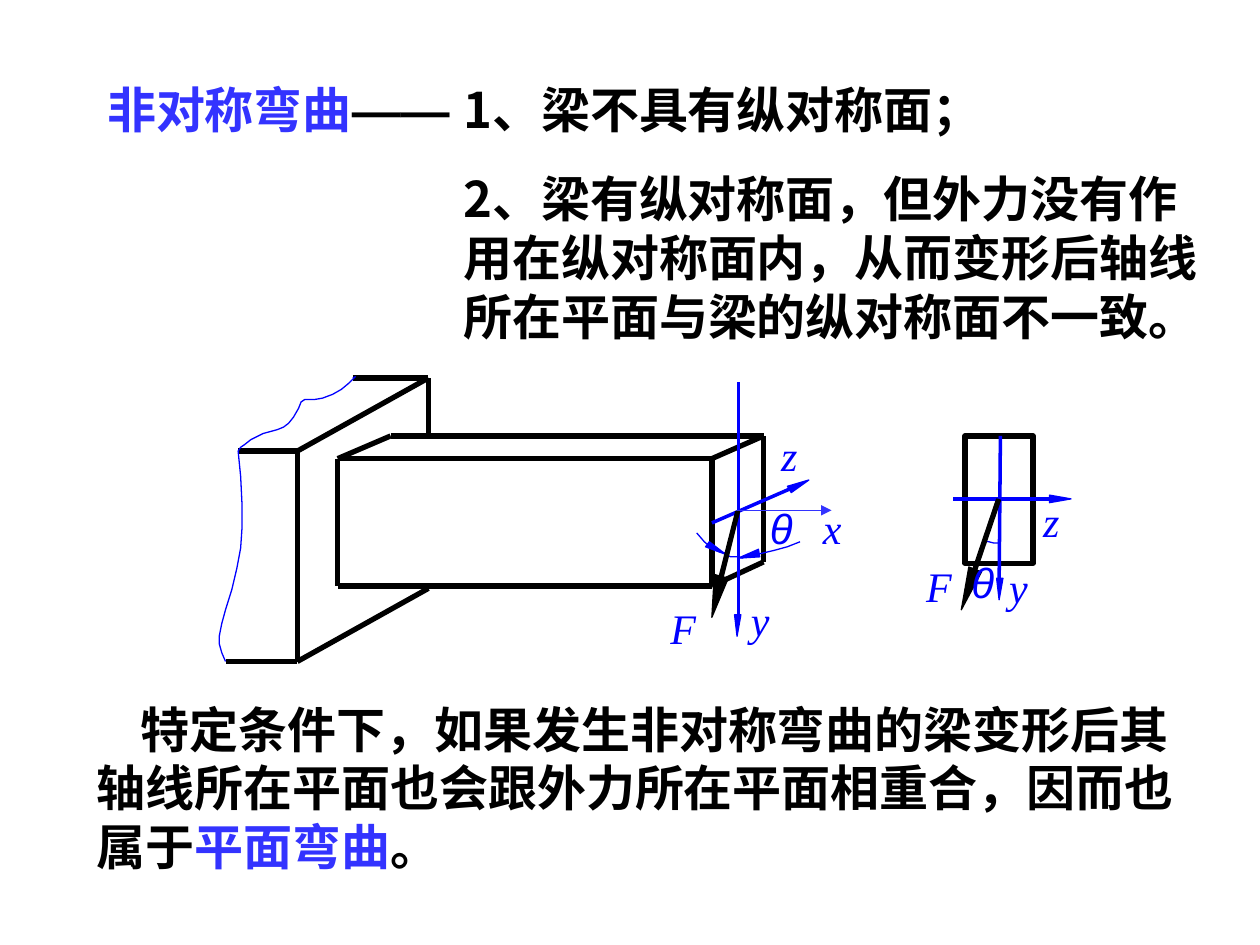
import pptx
import pptx.dml.color
import pptx.enum.shapes
import pptx.enum.text
import pptx.oxml.ns
import pptx.util
from lxml import etree

Inches, Pt = pptx.util.Inches, pptx.util.Pt
RGBColor = pptx.dml.color.RGBColor
BLACK = RGBColor(0x00, 0x00, 0x00)
BLUE = RGBColor(0x00, 0x00, 0xFF)
TERM = RGBColor(0x33, 0x33, 0xFF)
CJK, LATIN, SANS = "Noto Sans CJK SC", "Times New Roman", "Arial"
HAIRLINE, EDGE = 0, 3

# Bold outlines of the wall and the beam, as runs of joined corners
WALL_EDGES = [
    [(2.8, 3), (3.4, 3), (2.36, 3.58), (2.36, 5.25), (3.4, 4.67)],
    [(3.4, 3), (3.4, 3.46)],
    [(1.89, 3.58), (2.36, 3.58)],
    [(1.79, 5.25), (2.36, 5.25)],
]
BEAM_EDGES = [
    [(2.68, 3.64), (5.65, 3.64), (5.65, 4.65), (2.68, 4.65), (2.68, 3.64),
     (3.1, 3.46), (6.06, 3.46), (6.06, 4.46), (5.65, 4.65)],
    [(5.65, 3.64), (6.06, 3.46)],
]
# Thin blue curves: broken wall edges, then angle arcs
BLUE_CURVES = [
    [(2.8, 3), (2.82, 2.99), (2.77, 3.04), (2.71, 3.09), (2.64, 3.13),
     (2.56, 3.16), (2.5, 3.17), (2.42, 3.17), (2.39, 3.19), (2.37, 3.24),
     (2.33, 3.31), (2.29, 3.36), (2.25, 3.39), (2.2, 3.41), (2.09, 3.44),
     (1.99, 3.49), (1.94, 3.53), (1.91, 3.55), (1.89, 3.58)],
    [(1.89, 3.58), (1.91, 3.78), (1.92, 3.99), (1.92, 4.2), (1.91, 4.35),
     (1.88, 4.51), (1.84, 4.68), (1.79, 4.84), (1.76, 4.95), (1.74, 5.05),
     (1.74, 5.11), (1.76, 5.18), (1.79, 5.25)],
    [(5.53, 4.23), (5.59, 4.3), (5.66, 4.36), (5.71, 4.38), (5.76, 4.39)],
    [(6.01, 4.4), (6.14, 4.37), (6.25, 4.34), (6.35, 4.3)],
    [(5.76, 4.4), (5.8, 4.42), (5.85, 4.42), (5.9, 4.43)],
    [(7.8, 4.29), (7.85, 4.3), (7.89, 4.31), (7.94, 4.31)],
]
BLUE_AXES = [
    [(5.86, 4.88), (5.86, 3.03)],
    [(6.27, 3.88), (5.65, 4.15)],
    [(8.33, 3.96), (7.56, 3.96)],
    [(7.93, 4.59), (7.94, 3.46)],
]
BLUE_ARROWHEADS = [
    [(5.88, 4.88), (5.85, 5.05), (5.83, 4.88)],
    [(6.25, 3.86), (6.42, 3.81), (6.28, 3.91)],
    [(8.33, 3.93), (8.5, 3.96), (8.33, 3.99)],
    [(7.96, 4.59), (7.93, 4.76), (7.91, 4.59)],
    [(5.63, 4.3), (5.6, 4.34), (5.76, 4.4)],
    [(6.03, 4.42), (6.02, 4.36), (5.86, 4.43)],
]
# Each force is an arrowhead and a shaft
FORCES = [
    [(5.78, 4.59), (5.65, 4.9), (5.67, 4.56)],
    [(5.71, 4.57), (5.72, 4.59), (5.74, 4.58), (5.87, 4.06), (5.84, 4.06)],
    [(7.79, 4.54), (7.63, 4.84), (7.69, 4.5)],
    [(7.72, 4.52), (7.73, 4.54), (7.75, 4.53), (7.94, 3.97), (7.91, 3.96)],
]
LABELS = [
    ("y", 5.96, 4.72, 0.15, LATIN), ("z", 6.2, 3.41, 0.13, LATIN),
    ("F", 5.32, 4.78, 0.2, LATIN), ("x", 6.53, 3.99, 0.15, LATIN),
    ("θ", 6.11, 3.99, 0.29, SANS), ("z", 8.28, 3.93, 0.17, LATIN),
    ("y", 8.01, 4.46, 0.15, LATIN), ("F", 7.35, 4.45, 0.2, LATIN),
    ("θ", 7.71, 4.42, 0.33, SANS),
]


def add_run(paragraph, text, color, font, **formats):
    run = paragraph.add_run()
    run.text = text
    run.font.color.rgb = color
    for name, value in {"name": font, **formats}.items():
        setattr(run.font, name, value)
    east_asian = etree.SubElement(run.font._element, pptx.oxml.ns.qn("a:ea"))
    east_asian.set("typeface", font)


def fill_text(box, paragraphs, first_indent=0):
    """Each paragraph is a list of (text, color, font) runs."""
    frame = box.text_frame
    formats = {"word_wrap": True,
               "auto_size": pptx.enum.text.MSO_AUTO_SIZE.NONE,
               "vertical_anchor": pptx.enum.text.MSO_ANCHOR.TOP}
    for name, value in formats.items():
        setattr(frame, name, value)
    for index, runs in enumerate(paragraphs):
        paragraph = frame.add_paragraph() if index else frame.paragraphs[0]
        paragraph.alignment = pptx.enum.text.PP_ALIGN.LEFT
        paragraph.line_spacing = Pt(33.6)
        paragraph.space_before = Pt(17.5 if index else 0)
        if first_indent:
            paragraph._p.get_or_add_pPr().set("indent", str(first_indent))
        for text, color, font in runs:
            add_run(paragraph, text, color, font, size=Pt(28), bold=True)


def add_label(slide, text, left, top, width, font):
    box = slide.shapes.add_textbox(*map(Inches, (left, top, width, 0.4)))
    frame = box.text_frame
    frame.word_wrap = True
    for side in ("left", "top", "right", "bottom"):
        setattr(frame, f"margin_{side}", 0)
    add_run(frame.paragraphs[0], text, BLUE, font, size=Pt(24), italic=True)


def style_line(shape, color, width):
    shape.line.color.rgb = color
    shape.line.width = Pt(width)


def add_outline(slide, points, color, width=HAIRLINE, filled=False):
    start, *rest = [(Inches(x), Inches(y)) for x, y in points]
    builder = slide.shapes.build_freeform(*start)
    builder.add_line_segments(rest, close=filled)
    shape = builder.convert_to_shape()
    shape.shadow.inherit = False
    if filled:
        shape.fill.solid()
        shape.fill.fore_color.rgb = color
    else:
        shape.fill.background()
    style_line(shape, color, width)


def add_line(slide, start, end, color, width=HAIRLINE, arrow=False):
    line = slide.shapes.add_connector(
        pptx.enum.shapes.MSO_CONNECTOR.STRAIGHT, *map(Inches, start + end))
    style_line(line, color, width)
    if arrow:
        tail = etree.SubElement(line.line._get_or_add_ln(),
                                pptx.oxml.ns.qn("a:tailEnd"))
        tail.set("type", "triangle")
    etree.SubElement(line._element.spPr, pptx.oxml.ns.qn("a:effectLst"))


def add_drawing(slide):
    # Wall and beam
    for points in WALL_EDGES + BEAM_EDGES:
        for start, end in zip(points, points[1:]):
            add_line(slide, start, end, BLACK, EDGE)
    # Cross-section
    section = slide.shapes.add_shape(
        pptx.enum.shapes.MSO_SHAPE.RECTANGLE,
        *map(Inches, (7.66, 3.46, 0.54, 1.01)))
    section.shadow.inherit = False
    section.fill.background()
    style_line(section, BLACK, EDGE)
    # Curves, axes, arrowheads and forces
    for points in BLUE_CURVES:
        add_outline(slide, points, BLUE)
    for start, end in BLUE_AXES:
        add_line(slide, start, end, BLUE)
    add_line(slide, (5.85, 4.05), (6.6, 4.05), TERM, 0.25, arrow=True)
    for points in BLUE_ARROWHEADS:
        add_outline(slide, points, BLUE, filled=True)
    for points in FORCES:
        add_outline(slide, points, BLACK, filled=True)
    for label in LABELS:
        add_label(slide, *label)


def main():
    deck = pptx.Presentation()
    deck.slide_width, deck.slide_height = Inches(10), Inches(7.5)
    slide = deck.slides.add_slide(deck.slide_layouts[5])

    # Term being defined
    title = slide.shapes.title
    place = {"left": 0.75, "top": 0.58, "width": 4, "height": 0.57}
    for name, value in place.items():
        setattr(title, name, Inches(value))
    fill_text(title, [[("非对称弯曲", TERM, CJK), ("——", BLACK, SANS)]])

    # Two cases
    cases = slide.shapes.add_textbox(*map(Inches, (3.58, 0.58, 6.17, 2.21)))
    fill_text(cases, [
        [("1、梁不具有纵对称面；", BLACK, CJK)],
        [("2、梁有纵对称面，但外力没有作用在纵对称面内，"
          "从而变形后轴线所在平面与梁的纵对称面不一致。", BLACK, CJK)],
    ])

    add_drawing(slide)

    # Closing remark
    remark = slide.shapes.add_textbox(*map(Inches, (0.67, 5.5, 8.92, 1.5)))
    fill_text(remark, [[
        ("特定条件下，如果发生非对称弯曲的梁变形后其轴线所在平面也会跟"
         "外力所在平面相重合，因而也属于", BLACK, CJK),
        ("平面弯曲", TERM, CJK), ("。", BLACK, CJK),
    ]], first_indent=Inches(0.35))

    deck.save("out.pptx")


if __name__ == "__main__":
    main()
